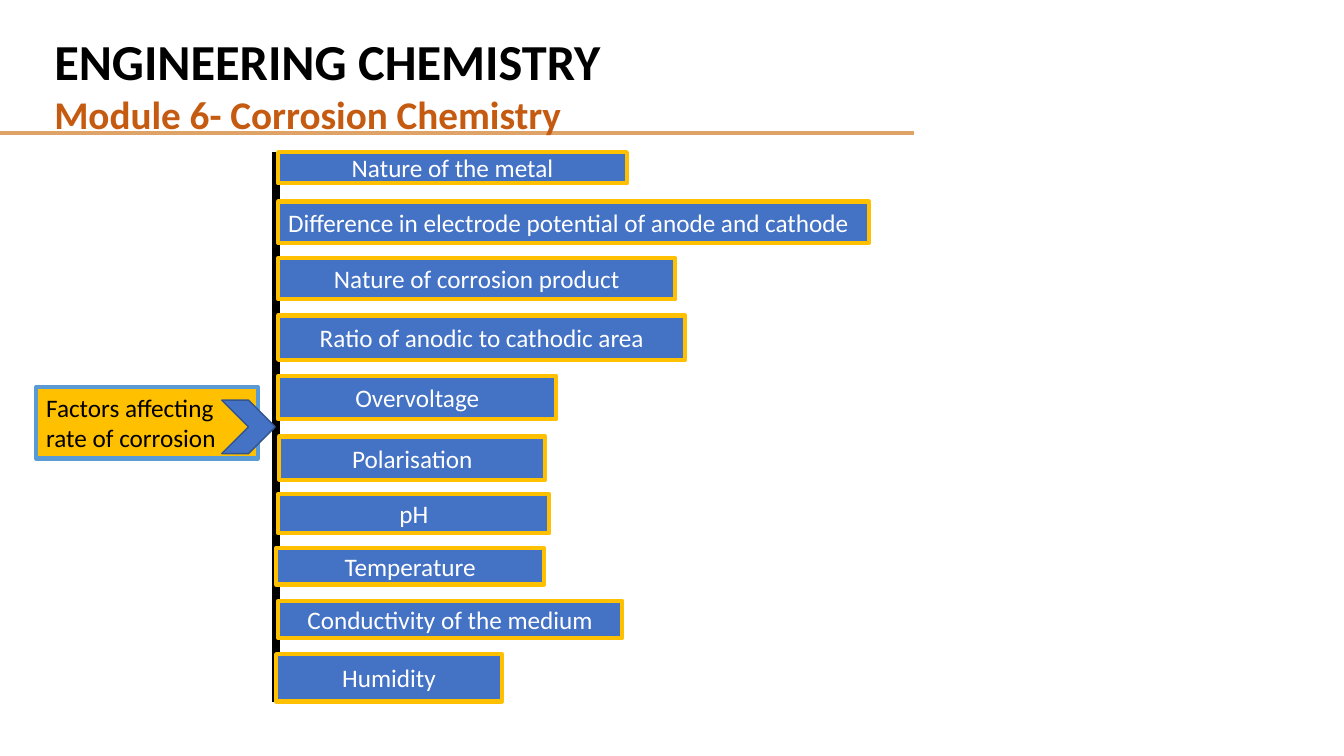
from lxml import etree
from pptx import Presentation
from pptx.dml.color import RGBColor
from pptx.enum.shapes import MSO_CONNECTOR, MSO_SHAPE
from pptx.enum.text import MSO_ANCHOR, MSO_AUTO_SIZE, PP_ALIGN
from pptx.oxml.ns import qn
from pptx.util import Inches, Pt

RECT, CHEVRON = MSO_SHAPE.RECTANGLE, MSO_SHAPE.CHEVRON
STRAIGHT = MSO_CONNECTOR.STRAIGHT
LEFT, CENTER = PP_ALIGN.LEFT, PP_ALIGN.CENTER
TOP, MIDDLE = MSO_ANCHOR.TOP, MSO_ANCHOR.MIDDLE
GROW = MSO_AUTO_SIZE.SHAPE_TO_FIT_TEXT
BLUE, GOLD, BLACK, WHITE = "4472C4", "FFC000", "000000", "FFFFFF"

prs = Presentation()
prs.slide_width, prs.slide_height = Inches(13.333), Inches(7.5)
slide = prs.slides.add_slide(prs.slide_layouts[6])

# Grid of 100 columns by 100 rows
COL, ROW = prs.slide_width / 100, prs.slide_height / 100


def rgb(code):
    return RGBColor.from_string(code)


def add_box(kind, left, top, width, height, fill, edge, edge_width,
            text="", color=WHITE, align=CENTER, anchor=MIDDLE):
    box = slide.shapes.add_shape(kind, int(left * COL), int(top * ROW),
                                 int(width * COL), int(height * ROW))
    box.shadow.inherit = False
    box.fill.solid()
    box.fill.fore_color.rgb = rgb(fill)
    box.line.color.rgb = rgb(edge)
    box.line.width = Pt(edge_width)
    if text:
        box.text_frame.text = text
        box.text_frame.word_wrap = True
        box.text_frame.vertical_anchor = anchor
        paragraph = box.text_frame.paragraphs[0]
        paragraph.alignment = align
        paragraph.font.name, paragraph.font.size = "Calibri", Pt(18)
        paragraph.font.color.rgb = rgb(color)
    return box


# Rule under the heading, and the spine the factors hang on
for x1, y1, x2, y2, color, weight in (
    (0, 17.6, 68.03, 17.6, "DFA267", 3),
    (20.55, 20.13, 20.55, 92.8, BLACK, 6),
):
    rule = slide.shapes.add_connector(STRAIGHT, int(x1 * COL), int(y1 * ROW),
                                      int(x2 * COL), int(y2 * ROW))
    rule.line.color.rgb = rgb(color)
    rule.line.width = Pt(weight)
    etree.SubElement(rule._element.spPr, qn("a:effectLst"))

# Heading
heading = slide.shapes.add_textbox(int(3.3 * COL), int(3.33 * ROW),
                                   int(65.63 * COL), int(15.73 * ROW)).text_frame
heading.word_wrap = True
heading.auto_size = GROW
heading.text = "ENGINEERING CHEMISTRY\nModule 6- Corrosion Chemistry"
for paragraph, size, color in zip(heading.paragraphs, (36, 28), (BLACK, "C55A11")):
    paragraph.font.name, paragraph.font.size = "Calibri", Pt(size)
    paragraph.font.bold = True
    paragraph.font.color.rgb = rgb(color)

# Topic and its pointer
topic = add_box(RECT, 2.7, 51.2, 16.5, 9.47, GOLD, "5B9BD5", 3,
                "Factors affecting rate of corrosion", BLACK, LEFT, TOP)
topic.text_frame.auto_size = GROW
add_box(CHEVRON, 16.5, 52.93, 3.98, 7.07, BLUE, "325491", 1)

# Factors: text, left, top, width, height, alignment
factors = (
    ("Nature of the metal", 20.7, 20.13, 25.95, 4.13, CENTER),
    ("Difference in electrode potential of anode and cathode",
     20.7, 26.67, 43.95, 5.47, LEFT),
    ("Nature of corrosion product", 20.7, 34.13, 29.55, 5.47, CENTER),
    ("Ratio of anodic to cathodic area", 20.7, 41.73, 30.3, 5.87, CENTER),
    ("Overvoltage", 20.7, 49.73, 20.7, 5.73, CENTER),
    ("Polarisation", 20.78, 57.73, 19.8, 5.73, CENTER),
    ("pH", 20.7, 65.33, 20.18, 5.2, CENTER),
    ("Temperature", 20.55, 72.53, 19.95, 4.8, CENTER),
    ("Conductivity of the medium", 20.7, 79.47, 25.58, 4.93, CENTER),
    ("Humidity", 20.55, 86.53, 16.8, 6.27, CENTER),
)
for text, left, top, width, height, align in factors:
    add_box(RECT, left, top, width, height, BLUE, GOLD, 3, text, align=align)

prs.save("out.pptx")
